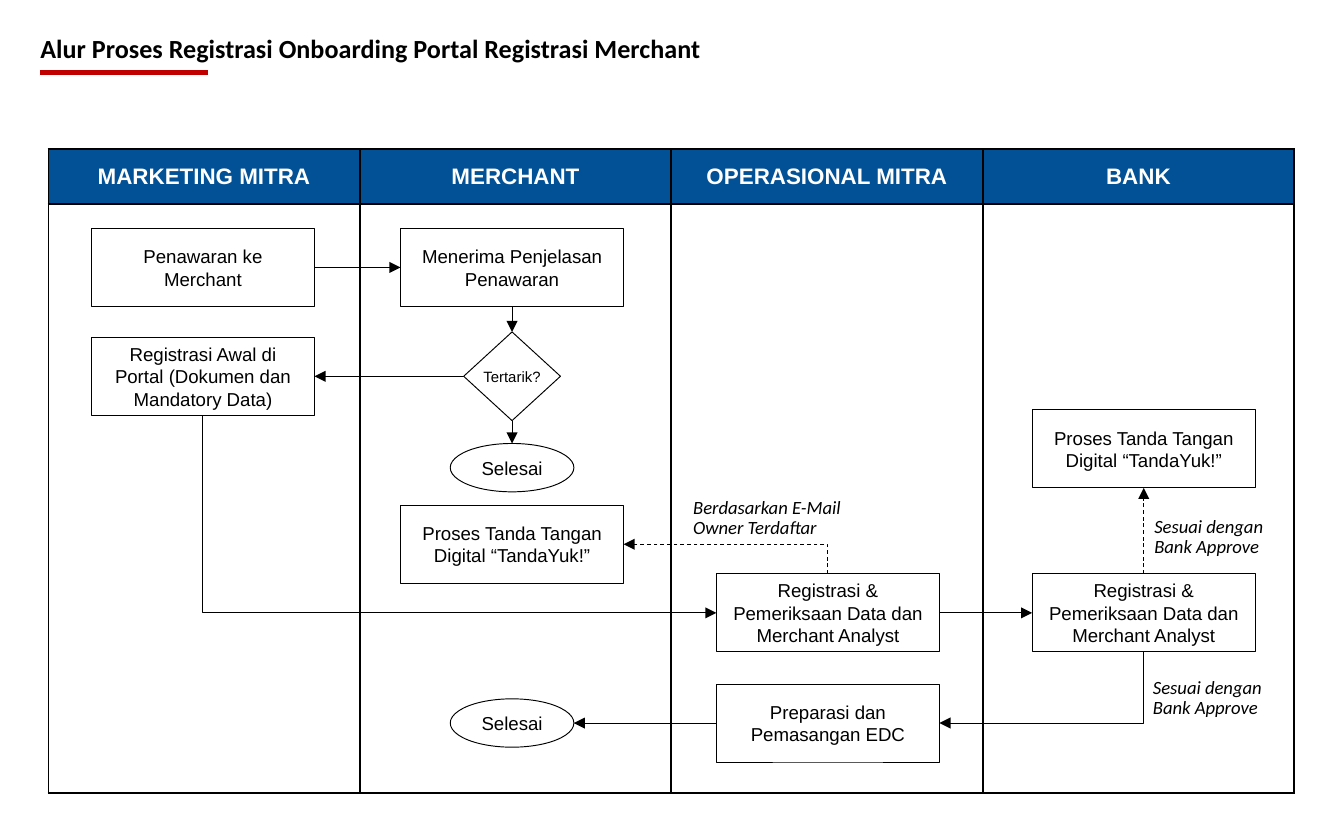
from lxml.etree import SubElement
from pptx import Presentation
from pptx.dml.color import RGBColor
from pptx.enum.dml import MSO_LINE
from pptx.enum.shapes import MSO_CONNECTOR, MSO_SHAPE
from pptx.enum.text import MSO_ANCHOR, MSO_AUTO_SIZE, PP_ALIGN
from pptx.oxml.ns import qn
from pptx.util import Inches, Pt


def color(value):
    return RGBColor.from_string(value)


def write(frame, text, style, align, anchor, spacing=1.0):
    frame.word_wrap = True
    frame.auto_size = MSO_AUTO_SIZE.NONE
    frame.vertical_anchor = anchor
    paragraph = frame.paragraphs[0]
    paragraph.text = text
    paragraph.alignment = align
    paragraph.line_spacing = spacing
    for name, value in style.items():
        setattr(paragraph.font, name, value)
    paragraph.font.color.rgb = color("000000")


presentation = Presentation()
presentation.slide_width = Inches(10)
presentation.slide_height = Inches(6.25)
slide = presentation.slides.add_slide(presentation.slide_layouts[5])
shapes = slide.shapes

title_style = {"name": "Calibri", "size": Pt(14), "bold": True}
step_style = {"name": "Arial", "size": Pt(10)}
decision_style = {"name": "Arial", "size": Pt(8)}
note_style = {"name": "Calibri", "size": Pt(10), "italic": True}
header_style = {"name": "Arial", "size": Pt(12), "bold": True}

title = shapes.title
title.left, title.top = Inches(0.2), Inches(0.22)
title.width, title.height = Inches(8.31), Inches(0.29)
write(title.text_frame, "Alur Proses Registrasi Onboarding Portal Registrasi Merchant",
      title_style, PP_ALIGN.LEFT, MSO_ANCHOR.TOP, 0.9)

underline = shapes.add_connector(MSO_CONNECTOR.STRAIGHT, Inches(0.3), Inches(0.54),
                                 Inches(1.55), Inches(0.54))
underline.line.color.rgb = color("C00000")
underline.line.width = Pt(2.25)
SubElement(underline._element.spPr, qn("a:effectLst"))

lanes = ["MARKETING MITRA", "MERCHANT", "OPERASIONAL MITRA", "BANK"]
table = shapes.add_table(2, len(lanes), Inches(0.36), Inches(1.11),
                         Inches(9.27), Inches(4.79)).table
table.rows[0].height = Inches(0.41)
table.rows[1].height = Inches(4.38)
for column, lane in enumerate(lanes):
    write(table.cell(0, column).text_frame, lane, header_style,
          PP_ALIGN.CENTER, MSO_ANCHOR.MIDDLE)
    table.cell(0, column).text_frame.paragraphs[0].font.color.rgb = color("FFFFFF")
    for row, fill in enumerate(["025196", "FFFFFF"]):
        cell = table.cell(row, column)
        cell.vertical_anchor = MSO_ANCHOR.MIDDLE
        properties = cell._tc.get_or_add_tcPr()
        for side in ["a:lnL", "a:lnR", "a:lnT", "a:lnB"]:
            border = SubElement(properties, qn(side), w=str(Pt(1)))
            SubElement(SubElement(border, qn("a:solidFill")), qn("a:srgbClr"), val="000000")
        cell.fill.solid()
        cell.fill.fore_color.rgb = color(fill)

RECTANGLE, OVAL, DIAMOND = MSO_SHAPE.RECTANGLE, MSO_SHAPE.OVAL, MSO_SHAPE.DIAMOND
sizes = {RECTANGLE: (1.66, 0.58), OVAL: (0.92, 0.36), DIAMOND: (0.72, 0.66)}
signing = "Proses Tanda Tangan Digital “TandaYuk!”"
analysis = "Registrasi & Pemeriksaan Data dan Merchant Analyst"
steps = [
    ("offer", RECTANGLE, 0.68, 1.7, "Penawaran ke Merchant"),
    ("explanation", RECTANGLE, 2.98, 1.7, "Menerima Penjelasan Penawaran"),
    ("decision", DIAMOND, 3.45, 2.47, ""),
    ("declined", OVAL, 3.35, 3.3, "Selesai"),
    ("registration", RECTANGLE, 0.68, 2.51, "Registrasi Awal di Portal (Dokumen dan Mandatory Data)"),
    ("operations check", RECTANGLE, 5.33, 4.27, analysis),
    ("bank check", RECTANGLE, 7.68, 4.27, analysis),
    ("merchant signing", RECTANGLE, 2.98, 3.76, signing),
    ("bank signing", RECTANGLE, 7.68, 3.05, signing),
    ("preparation", RECTANGLE, 5.33, 5.09, "Preparasi dan Pemasangan EDC"),
    ("finished", OVAL, 3.35, 5.2, "Selesai"),
]
nodes = {}
for key, kind, left, top, text in steps:
    width, height = sizes[kind]
    shape = shapes.add_shape(kind, Inches(left), Inches(top), Inches(width), Inches(height))
    shape.shadow.inherit = False
    shape.fill.solid()
    shape.fill.fore_color.rgb = color("FFFFFF")
    shape.line.color.rgb = color("000000")
    shape.line.width = Pt(0.5)
    if text:
        write(shape.text_frame, text, step_style, PP_ALIGN.CENTER, MSO_ANCHOR.MIDDLE)
    if kind == OVAL:
        shape.text_frame.margin_left = shape.text_frame.margin_right = 0
    nodes[key] = shape

TOP, LEFT, BOTTOM, RIGHT = range(4)
arrows = [
    ("offer", RIGHT, "explanation", LEFT, False, None),
    ("explanation", BOTTOM, "decision", TOP, False, None),
    ("decision", LEFT, "registration", RIGHT, False, None),
    ("decision", BOTTOM, "declined", TOP, False, None),
    ("operations check", RIGHT, "bank check", LEFT, False, None),
    ("bank check", TOP, "bank signing", BOTTOM, True, None),
    ("preparation", LEFT, "finished", None, False, None),
    ("registration", BOTTOM, "operations check", LEFT, False, (270, "flipH")),
    ("operations check", TOP, "merchant signing", RIGHT, True, (270, "flipV")),
    ("bank check", BOTTOM, "preparation", RIGHT, False, (90, None)),
]
for source, source_side, target, target_side, dashed, turn in arrows:
    end = nodes[target]
    connector = shapes.add_connector(MSO_CONNECTOR.ELBOW if turn else MSO_CONNECTOR.STRAIGHT,
                                     0, 0, end.left + end.width, end.top + end.height // 2)
    connector.begin_connect(nodes[source], source_side)
    if target_side is not None:
        connector.end_connect(end, target_side)
    if turn:
        angle, flip = turn
        left, top, width, height = connector.left, connector.top, connector.width, connector.height
        connector.left = left + (width - height) // 2
        connector.top = top + (height - width) // 2
        connector.width, connector.height = height, width
        properties = connector._element.spPr
        properties.find(qn("a:prstGeom")).set("prst", "bentConnector2")
        transform = properties.find(qn("a:xfrm"))
        for name in ["flipH", "flipV"]:
            transform.set(name, "1" if name == flip else "0")
        transform.set("rot", str(angle * 60000))
    connector.line.color.rgb = color("000000")
    connector.line.width = Pt(0.5)
    if dashed:
        connector.line.dash_style = MSO_LINE.DASH
    SubElement(connector.line._get_or_add_ln(), qn("a:tailEnd"), type="triangle")
    SubElement(connector._element.spPr, qn("a:effectLst"))

approval = "Sesuai dengan Bank Approve"
notes = [
    (5.06, 3.66, 1.37, 0.29, "Berdasarkan E-Mail Owner Terdaftar"),
    (8.48, 5, 1.01, 0.39, approval),
    (8.49, 3.8, 1.01, 0.39, approval),
]
for left, top, width, height, text in notes:
    note = shapes.add_textbox(Inches(left), Inches(top), Inches(width), Inches(height))
    write(note.text_frame, text, note_style, PP_ALIGN.LEFT, MSO_ANCHOR.TOP, 0.9)

question = shapes.add_textbox(Inches(3.45), Inches(2.68), Inches(0.72), Inches(0.25))
write(question.text_frame, "Tertarik?", decision_style, PP_ALIGN.CENTER, MSO_ANCHOR.MIDDLE)
shapes.add_group_shape([nodes["decision"], question])

presentation.save("out.pptx")
